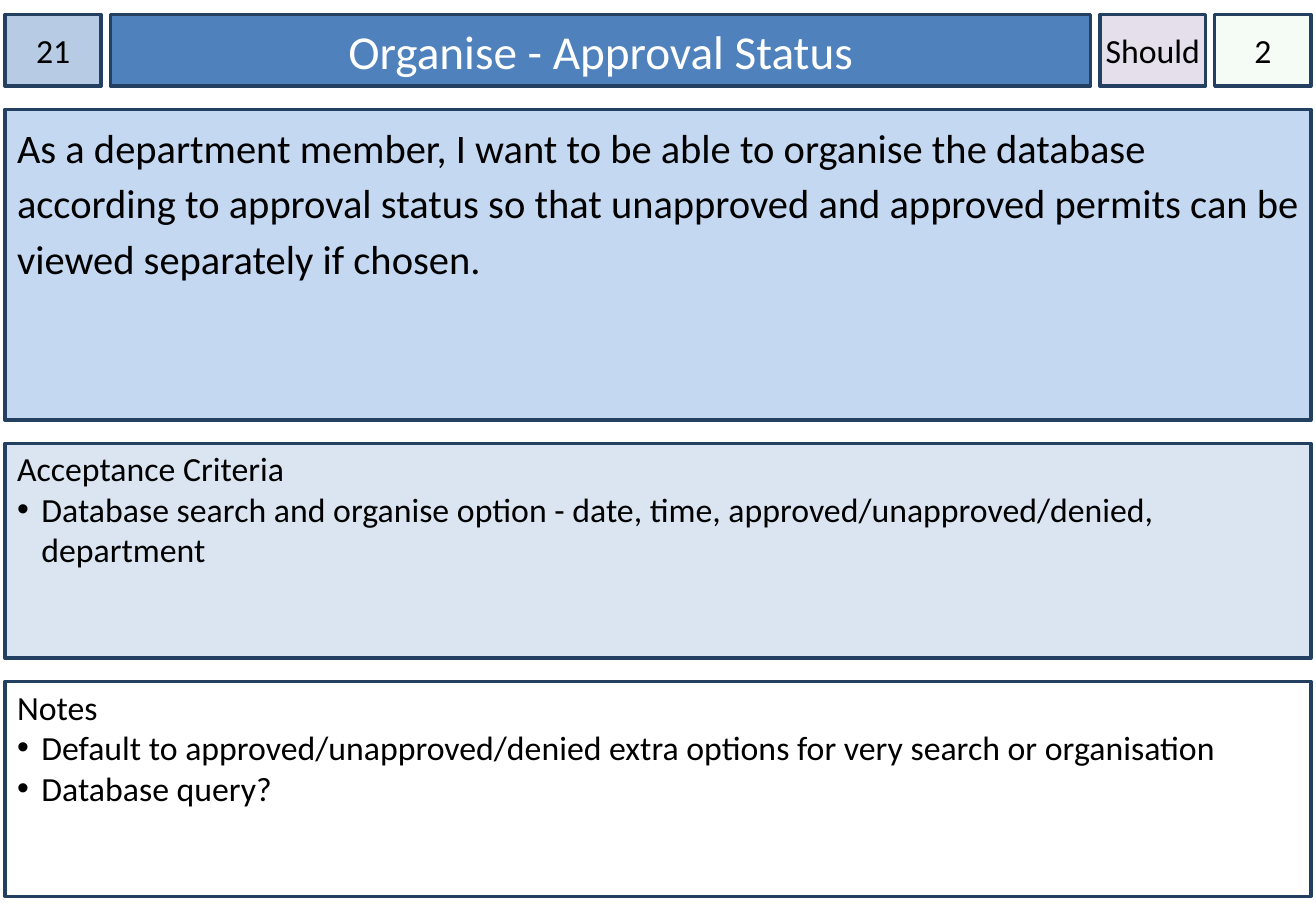
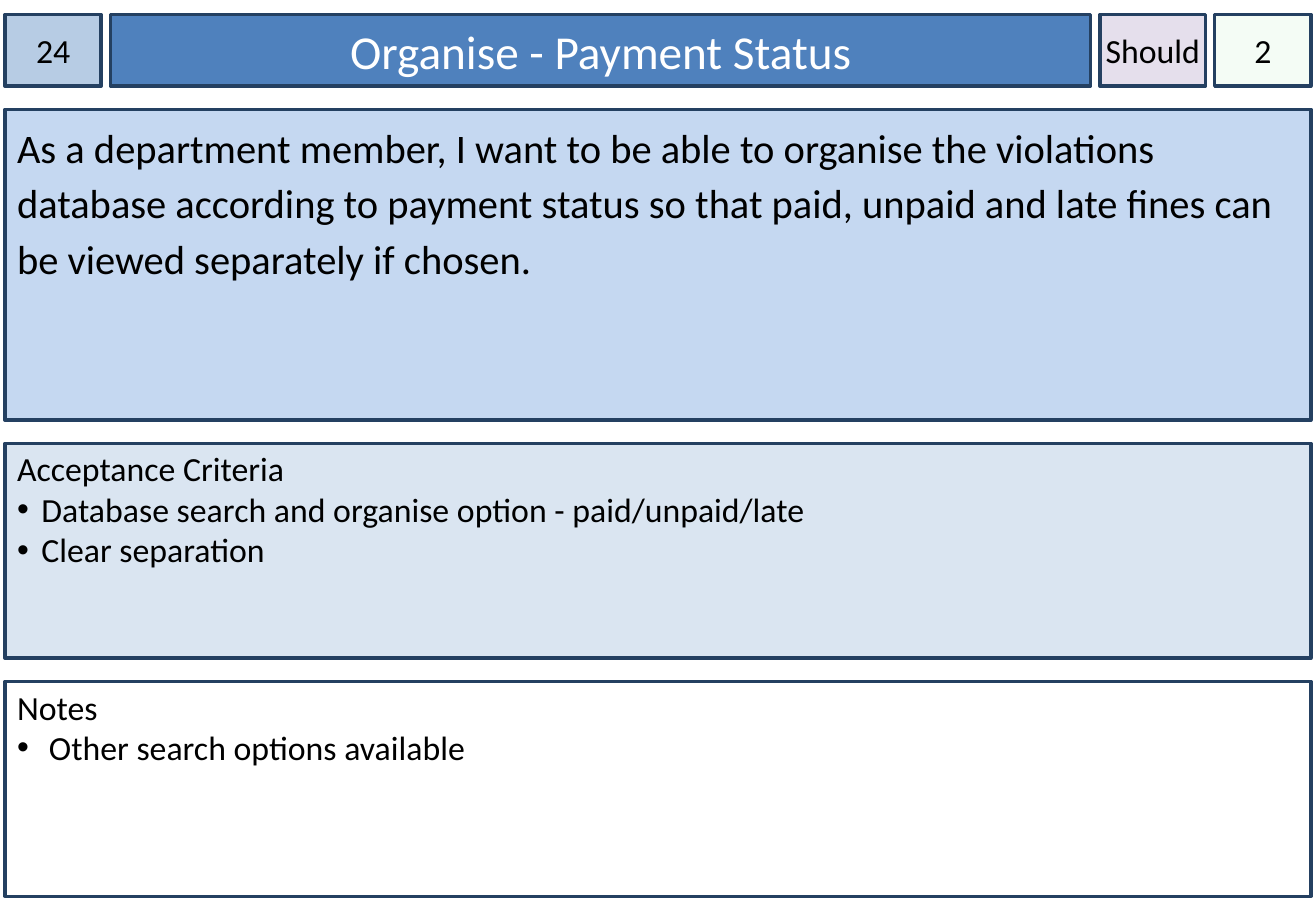
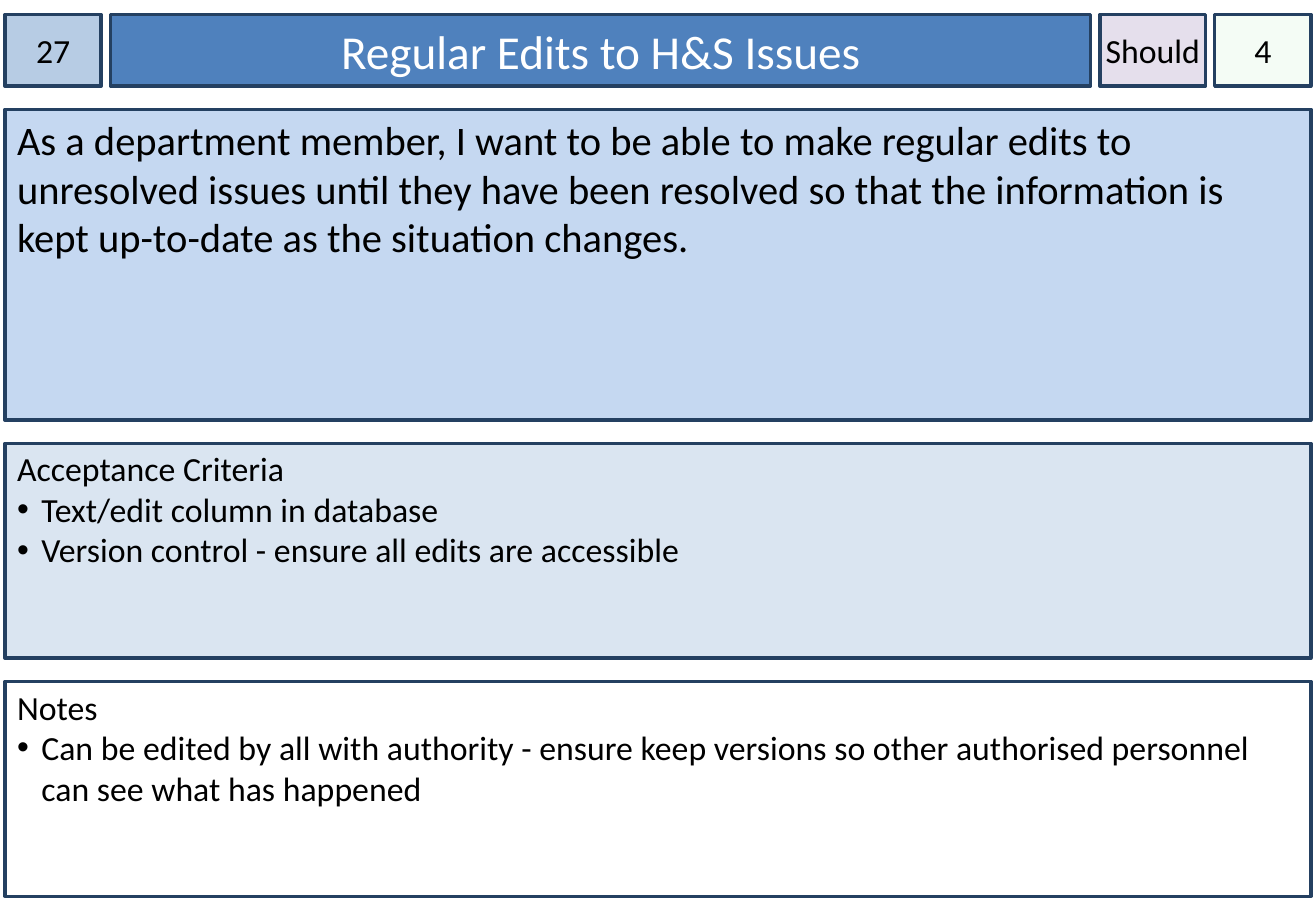
import pptx
import pptx.dml.color
import pptx.enum.shapes
import pptx.enum.text
import pptx.oxml
import pptx.oxml.ns
import pptx.util

Pt = pptx.util.Pt
CENTER = pptx.enum.text.PP_ALIGN.CENTER
LEFT = pptx.enum.text.PP_ALIGN.LEFT
MIDDLE = pptx.enum.text.MSO_ANCHOR.MIDDLE
TOP = pptx.enum.text.MSO_ANCHOR.TOP

STORIES = [
    {
        "number": "21",
        "title": "Organise - Approval Status",
        "priority": "Should",
        "estimate": "2",
        "story": "As a department member, I want to be able to organise the database according to "
                 "approval status so that unapproved and approved permits can be viewed separately if chosen.",
        "spacing": 1.15,
        "criteria": ["Database search and organise option - date, time, "
                     "approved/unapproved/denied, department"],
        "notes": ["Default to approved/unapproved/denied extra options for very search or organisation",
                  "Database query?"],
    },
    {
        "number": "24",
        "title": "Organise - Payment Status",
        "priority": "Should",
        "estimate": "2",
        "story": "As a department member, I want to be able to organise the violations database according to "
                 "payment status so that paid, unpaid and late fines can be viewed separately if chosen.",
        "spacing": 1.15,
        "criteria": ["Database search and organise option - paid/unpaid/late", "Clear separation"],
        "notes": ["Other search options available"],
        "notes_indent": 18.9,
    },
    {
        "number": "27",
        "title": "Regular Edits to H&S Issues",
        "priority": "Should",
        "estimate": "4",
        "story": "As a department member, I want to be able to make regular edits to unresolved issues until "
                 "they have been resolved so that the information is kept up-to-date as the situation changes.",
        "spacing": 1.0,
        "criteria": ["Text/edit column in database", "Version control - ensure all edits are accessible"],
        "notes": ["Can be edited by all with authority - ensure keep versions so other authorised "
                  "personnel can see what has happened"],
    },
]


def color(value):
    return pptx.dml.color.RGBColor.from_string(value)


class StoryCards:
    """Draws user story cards in one shared style."""

    FONT = "Calibri"
    INK = "000000"
    BORDER = "244061"
    PAGE_WIDTH, PAGE_HEIGHT = 780, 540
    MARGIN = 3
    WIDTH = PAGE_WIDTH - 2 * MARGIN
    HEADER_TOP, HEADER_HEIGHT, HEADER_GAP = 8.6, 42.5, 5.5
    STORY_HEIGHT, LIST_HEIGHT, BAND_GAP = 184.3, 127.4, 13.7
    BULLET_INDENT = 14.4

    def __init__(self):
        self.deck = pptx.Presentation()
        self.deck.slide_width = Pt(self.PAGE_WIDTH)
        self.deck.slide_height = Pt(self.PAGE_HEIGHT)
        self.page = None

    def add_page(self):
        self.page = self.deck.slides.add_slide(self.deck.slide_layouts[6])

    def box(self, left, top, width, height, fill, side_inset=7.2, top_inset=3.6, anchor=TOP):
        box = self.page.shapes.add_shape(
            pptx.enum.shapes.MSO_SHAPE.RECTANGLE, Pt(left), Pt(top), Pt(width), Pt(height))
        box.shadow.inherit = False
        box.fill.solid()
        box.fill.fore_color.rgb = color(fill)
        box.line.color.rgb = color(self.BORDER)
        box.line.width = Pt(2)
        frame = box.text_frame
        frame.word_wrap = True
        frame.vertical_anchor = anchor
        frame.margin_left = frame.margin_right = Pt(side_inset)
        frame.margin_top, frame.margin_bottom = Pt(top_inset), Pt(3.6)
        return box

    def label(self, para, text, size=20, ink=INK, align=LEFT):
        para.text = text
        para.alignment = align
        for span in para.runs:
            span.font.name = self.FONT
            span.font.size = Pt(size)
            span.font.color.rgb = color(ink)

    def bullet(self, para, indent):
        properties = para._p.get_or_add_pPr()
        properties.set("marL", str(Pt(indent)))
        properties.set("indent", str(-Pt(indent)))
        for markup in (f'<a:buClr {{}}><a:srgbClr val="{self.INK}"/></a:buClr>',
                       '<a:buFont {} typeface="Arial"/>',
                       '<a:buChar {} char="•"/>'):
            properties.append(pptx.oxml.parse_xml(markup.format(pptx.oxml.ns.nsdecls("a"))))

    def fade(self, box, percent):
        tint = box._element.spPr.find(".//" + pptx.oxml.ns.qn("a:srgbClr"))
        alpha = pptx.oxml.parse_xml(f'<a:alpha {pptx.oxml.ns.nsdecls("a")} val="{percent * 1000}"/>')
        tint.append(alpha)

    def header(self, number, title, priority, estimate):
        cells = [
            (number, 57, "B7CCE4", 20, self.INK, 0),
            (title, 581, "4F81BD", 28, "FFFFFF", 7.2),
            (priority, 62.5, "E5DFEC", 20, self.INK, 0),
            (estimate, 57, "CCF0CD", 20, self.INK, 0),
        ]
        left = self.MARGIN
        for text, width, fill, size, ink, inset in cells:
            box = self.box(left, self.HEADER_TOP, width, self.HEADER_HEIGHT, fill, inset, anchor=MIDDLE)
            self.label(box.text_frame.paragraphs[0], text, size, ink, CENTER)
            left += width + self.HEADER_GAP
        self.fade(box, 20)

    def story(self, top, text, spacing):
        box = self.box(self.MARGIN, top, self.WIDTH, self.STORY_HEIGHT, "C5D8F1")
        para = box.text_frame.paragraphs[0]
        self.label(para, text, 24)
        para.line_spacing = spacing

    def bullet_list(self, top, heading, items, fill, indent=BULLET_INDENT):
        box = self.box(self.MARGIN, top, self.WIDTH, self.LIST_HEIGHT, fill, top_inset=2.9)
        self.label(box.text_frame.paragraphs[0], heading)
        for item in items:
            para = box.text_frame.add_paragraph()
            self.bullet(para, indent)
            self.label(para, item)

    def card(self, entry):
        self.add_page()
        self.header(entry["number"], entry["title"], entry["priority"], entry["estimate"])
        top = self.HEADER_TOP + self.HEADER_HEIGHT + self.BAND_GAP
        self.story(top, entry["story"], entry["spacing"])
        top += self.STORY_HEIGHT + self.BAND_GAP
        self.bullet_list(top, "Acceptance Criteria", entry["criteria"], "DAE5F1")
        top += self.LIST_HEIGHT + self.BAND_GAP
        self.bullet_list(top, "Notes", entry["notes"], "FFFFFF",
                         entry.get("notes_indent", self.BULLET_INDENT))


def main():
    cards = StoryCards()
    for entry in STORIES:
        cards.card(entry)
    cards.deck.save("out.pptx")


if __name__ == "__main__":
    main()
